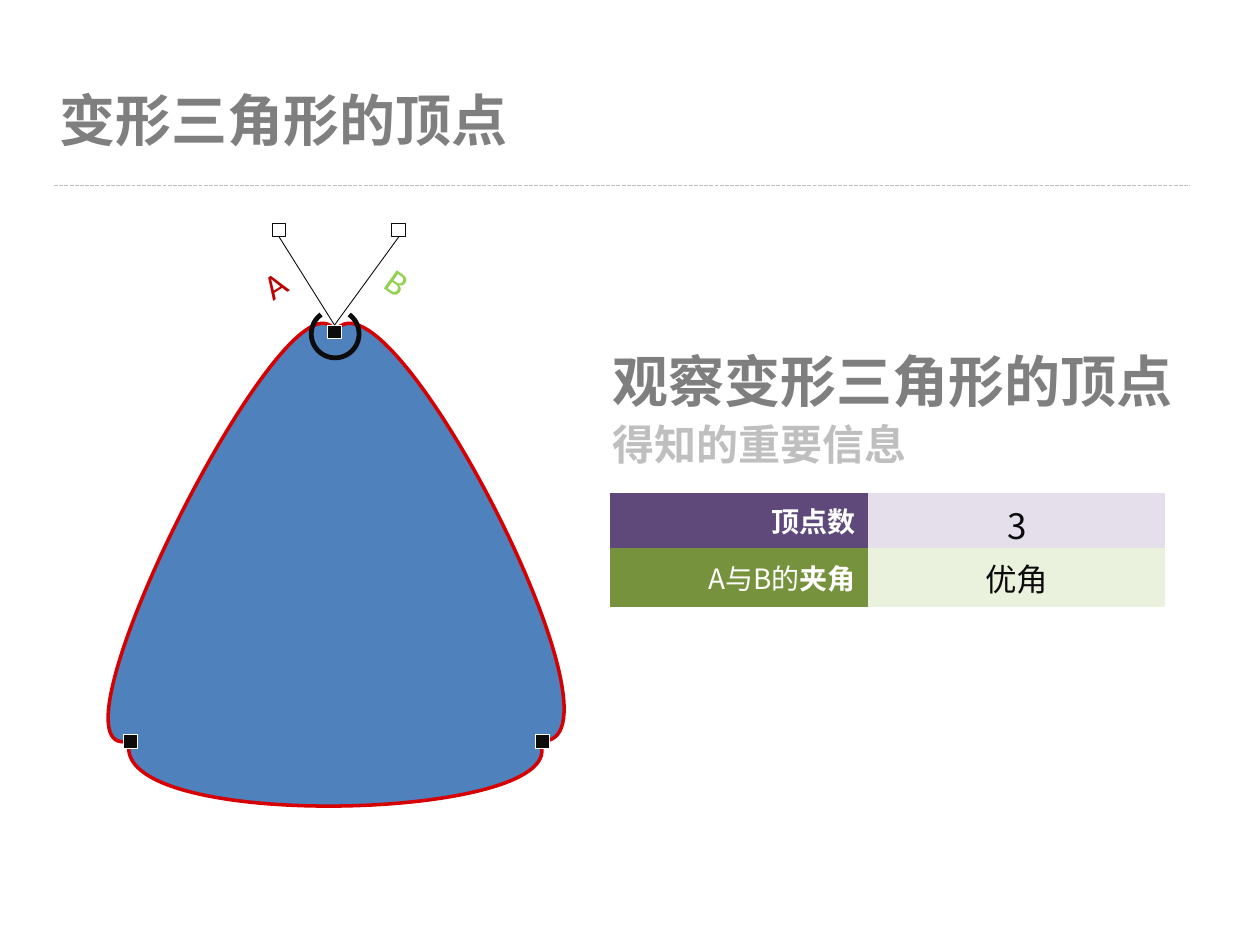
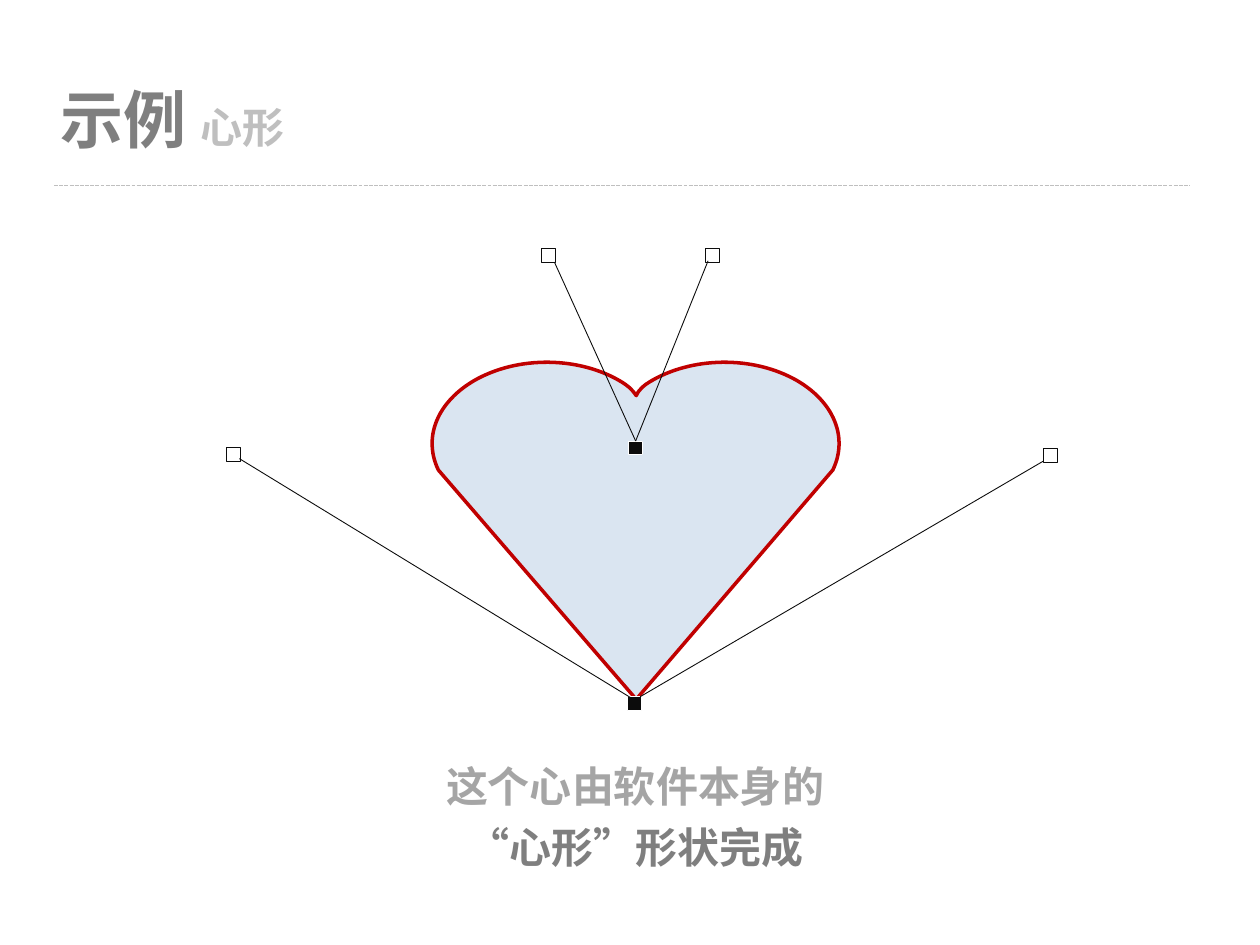
"""Build two slides on the vertices of a bent triangle and a heart."""
from math import cos, radians, sin, tan

from lxml.etree import SubElement
from pptx import Presentation
from pptx.dml.color import RGBColor as Rgb
from pptx.enum.dml import MSO_LINE as Dash
from pptx.enum.shapes import MSO_CONNECTOR as Conn, MSO_SHAPE as Shape
from pptx.enum.text import MSO_ANCHOR as Anchor, MSO_AUTO_SIZE as Fit, PP_ALIGN as Align
from pptx.oxml.ns import qn
from pptx.util import Inches, Pt

HUES = {
    "gray": "7F7F7F", "mid": "A5A5A5", "pale": "BFBFBF", "ink": "0C0C0C",
    "white": "FFFFFF", "blue": "4F81BD", "ice": "DAE5F1", "red": "D60000",
    "dark": "C00000", "lime": "92D050", "plum": "5F497A", "lilac": "E5DFEC",
    "moss": "76923C", "mint": "EAF1DD",
}
HUE = {name: Rgb.from_string(code) for name, code in HUES.items()}
NOTO = "Noto Sans CJK SC"
SIDE = 0.11
GROW = {"word_wrap": False, "auto_size": Fit.SHAPE_TO_FIT_TEXT}
WRAP = {**GROW, "word_wrap": True}
HEAD = {**GROW, "vertical_anchor": Anchor.MIDDLE, "margin_right": 0}
LEFT = {"alignment": Align.LEFT, "line_spacing": 1.1}
MID = {"alignment": Align.CENTER, "line_spacing": 1.2}


def write(frame, paras, look, form, face=NOTO):
    """Fill a text frame with paragraphs of (text, size, hue, bold) runs."""
    for key, val in look.items():
        setattr(frame, key, val)
    for i, runs in enumerate(paras):
        para = frame.add_paragraph() if i else frame.paragraphs[0]
        for key, val in form.items():
            setattr(para, key, val)
        for text, size, hue, bold in runs:
            run = para.add_run()
            run.text = text
            style = {"name": face, "size": Pt(size), "bold": bold}
            for key, val in style.items():
                setattr(run.font, key, val)
            run.font.color.rgb = HUE[hue]
            SubElement(run.font._element, qn("a:ea"), typeface=NOTO)


def paint(shape, fill, line, width):
    """Set the fill and line of a shape."""
    shape.shadow.inherit = False
    if fill:
        shape.fill.solid()
        shape.fill.fore_color.rgb = HUE[fill]
    else:
        shape.fill.background()
    shape.line.color.rgb = HUE[line]
    shape.line.width = Pt(width)


deck = Presentation()
deck.slide_width, deck.slide_height = Inches(10), Inches(7.5)

wedge = [
    (1.03, 5.88), (0.26, 6.09), (2.31, 2.01), (2.66, 2.63), (3.08, 2.02),
    (5.11, 5.97), (4.28, 5.88), (4.62, 6.52), (0.82, 6.62), (1.03, 5.88),
]
arcs = []
for x, y, wide, high, start, end, count in [
    (2.66, 2.65, 0.19, 0.19, 54, -234, 4),
    (4.34, 3.52, 0.91, 0.645, 199, 39, 16),
]:
    turn = radians(end - start) / count
    pull = 4 / 3 * tan(turn / 4)
    arc = []
    for k in range(count + 1):
        a = radians(start) + turn * k
        for shift in (-pull, 0, pull):
            arc.append((x + wide * (cos(a) - shift * sin(a)),
                        y - high * (sin(a) + shift * cos(a))))
    arcs.append(arc[1:-1])
ring, lobe = arcs
lobe[-1] = (5.05, 3.14)
twin = [(10.09 - x, y) for x, y in lobe[-2::-1]]
heart = [(5.05, 5.55), *lobe, *twin]

pages = [
    {
        "title": [("变形三角形的顶点", 32, "gray", True)],
        "box": (0.37, 0.57, 3.76, 0.69),
        "forms": [(wedge, 0, (0.86, 2.57, 3.62, 3.83), "blue", "red", 2),
                  (ring, 0, (2.47, 2.49, 0.38, 0.35), None, "ink", 2.75)],
        "open": [(2.16, 1.77), (3.11, 1.77)],
        "solid": [(2.6, 2.58), (4.25, 5.83), (0.98, 5.83)],
        "arms": [((2.23, 1.88), (2.65, 2.59), (0, 2), (2, 0)),
                 ((2.67, 2.6), (3.17, 1.86), (2, 0), (1, 2))],
        "texts": [
            ((4.76, 2.65, 4.67, 1.13), 0, NOTO, WRAP, LEFT,
             [[("观察变形三角形的顶点", 32, "gray", True)],
              [("得知的重要信息", 24, "pale", True)]]),
            ((2, 2.04, 0.36, 0.44), 327.4, "Calibri", GROW, {}, [[("A", 20, "dark", False)]]),
            ((2.98, 2.02, 0.35, 0.44), 35.6, "Calibri", GROW, {}, [[("B", 20, "lime", False)]]),
        ],
    },
    {
        "title": [("示例 ", 36, "gray", True), ("心形", 24, "pale", True)],
        "box": (0.38, 0.53, 1.98, 0.76),
        "forms": [(heart, 1, (3.43, 2.87, 3.23, 2.68), "ice", "dark", 2)],
        "open": [(8.28, 3.56), (1.8, 3.55), (4.3, 1.97), (5.6, 1.97)],
        "solid": [(4.98, 5.53), (4.99, 3.5)],
        "arms": [((5.08, 5.53), (8.28, 3.66), None, None),
                 ((5.01, 5.54), (1.9, 3.64), None, None),
                 ((5.04, 3.5), (4.4, 2.08), (5, 0), None),
                 ((5.05, 3.5), (5.62, 2.07), (5, 0), None)],
        "texts": [
            ((3.44, 5.91, 3.2, 1.06), 0, "Calibri", GROW, MID,
             [[("这个心由软件本身的", 24, "mid", True)],
              [("“心形”形状完成", 24, "gray", True)]]),
        ],
    },
]

for page in pages:
    slide = deck.slides.add_slide(deck.slide_layouts[5])
    shapes = slide.shapes
    title = shapes.title
    title.left, title.top, title.width, title.height = map(Inches, page["box"])
    write(title.text_frame, [page["title"]], HEAD, LEFT)

    for spots, skip, box, fill, line, width in page["forms"]:
        pen = shapes.build_freeform(*map(Inches, spots[0]))
        pen.add_line_segments([(Inches(x), Inches(y)) for x, y in spots[1:]],
                              close=bool(fill))
        form = pen.convert_to_shape()
        paint(form, fill, line, width)
        form.left, form.top, form.width, form.height = map(Inches, box)
        path = form._element.find(".//" + qn("a:path"))
        path.set("w", str(form.width))
        path.set("h", str(form.height))
        for dot, (x, y) in zip(path.iter(qn("a:pt")), spots):
            dot.set("x", str(Inches(x) - form.left))
            dot.set("y", str(Inches(y) - form.top))
        legs = path.findall(qn("a:lnTo"))[skip:]
        for i in range(0, len(legs) - 2, 3):
            curve = SubElement(path, qn("a:cubicBezTo"))
            legs[i].addprevious(curve)
            for leg in legs[i:i + 3]:
                curve.append(leg[0])
                path.remove(leg)

    knobs = []
    for kind, fill, line in [("open", "white", "ink"), ("solid", "ink", "white")]:
        for x, y in page[kind]:
            knob = shapes.add_shape(Shape.RECTANGLE, *map(Inches, (x, y, SIDE, SIDE)))
            paint(knob, fill, line, 0.5)
            knobs.append(knob)

    rule = ((0.43, 1.47), (9.44, 1.47), None, None)
    for start, end, head, tail in [rule, *page["arms"]]:
        arm = shapes.add_connector(Conn.STRAIGHT, *map(Inches, start + end))
        flat = start == rule[0]
        arm.line.color.rgb = HUE["pale" if flat else "ink"]
        arm.line.width = Pt(0.75 if flat else 0.5)
        if flat:
            arm.line.dash_style = Dash.SQUARE_DOT
        SubElement(arm._element.spPr, qn("a:effectLst"))
        if head:
            arm.begin_connect(knobs[head[0]], head[1])
        if tail:
            arm.end_connect(knobs[tail[0]], tail[1])

    for box, turn, face, look, form, paras in page["texts"]:
        note = shapes.add_textbox(*map(Inches, box))
        note.rotation = turn
        write(note.text_frame, paras, look, form, face)

rows = [
    (0.44, [("plum", [("顶点数", 16, "white", True)]),
            ("lilac", [("3", 20, "ink", False)])]),
    (0.47, [("moss", [("A与B的", 16, "white", False), ("夹角", 16, "white", True)]),
            ("mint", [("优角", 18, "ink", False)])]),
]
grid = deck.slides[0].shapes.add_table(2, 2, *map(Inches, (4.84, 3.91, 4.41, 0.91))).table
grid.first_row = grid.horz_banding = False
grid._tbl.tblPr.find(qn("a:tableStyleId")).text = "{2D5ABB26-0587-4C30-8999-92F81FD0307C}"
for col, width in zip(grid.columns, (2.05, 2.36)):
    col.width = Inches(width)
for r, (high, cells) in enumerate(rows):
    grid.rows[r].height = Inches(high)
    for c, (fill, runs) in enumerate(cells):
        cell = grid.cell(r, c)
        cell.fill.solid()
        cell.fill.fore_color.rgb = HUE[fill]
        cell.vertical_anchor = Anchor.MIDDLE
        write(cell.text_frame, [runs], {}, {"alignment": (Align.RIGHT, Align.CENTER)[c]})

deck.save("out.pptx")
